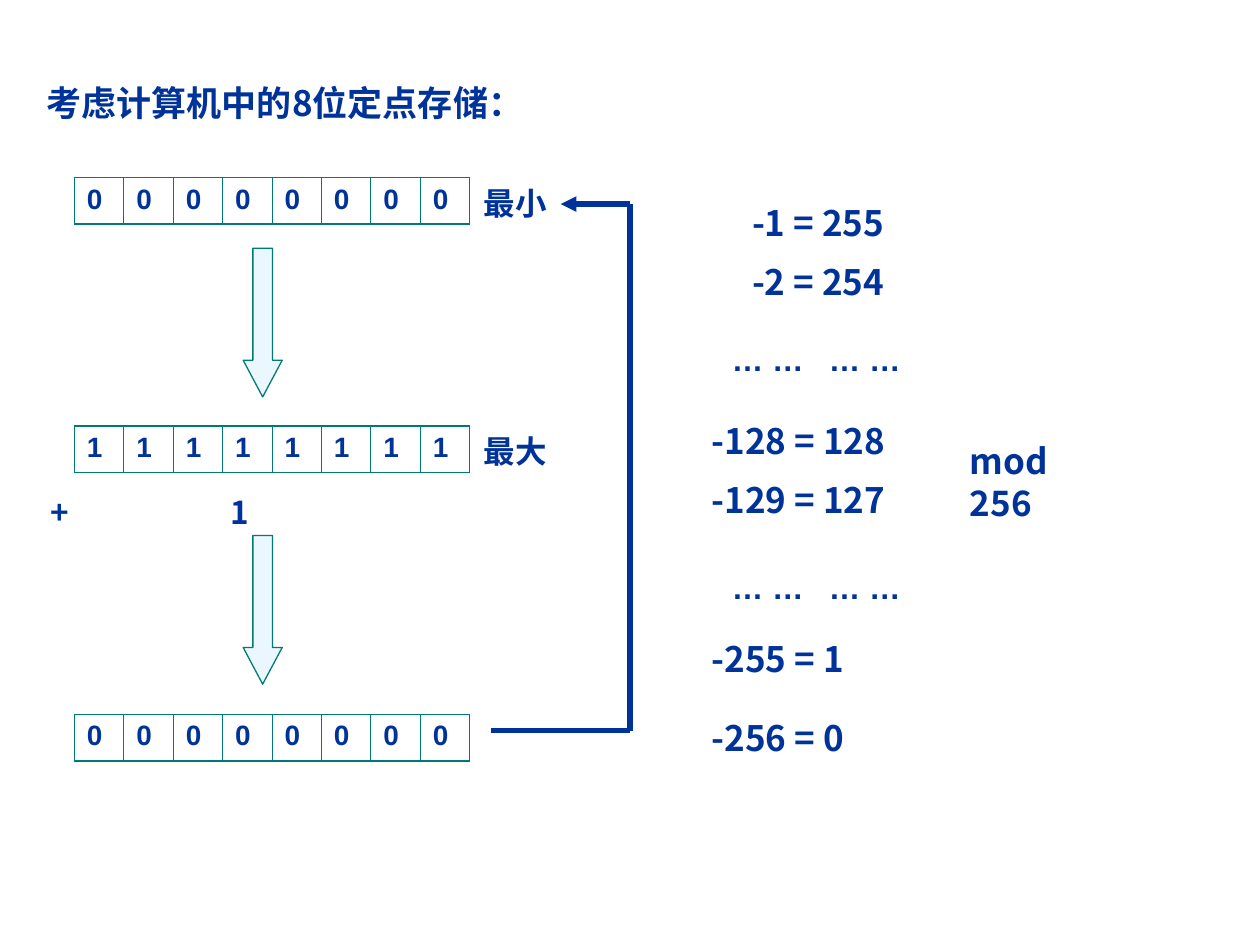
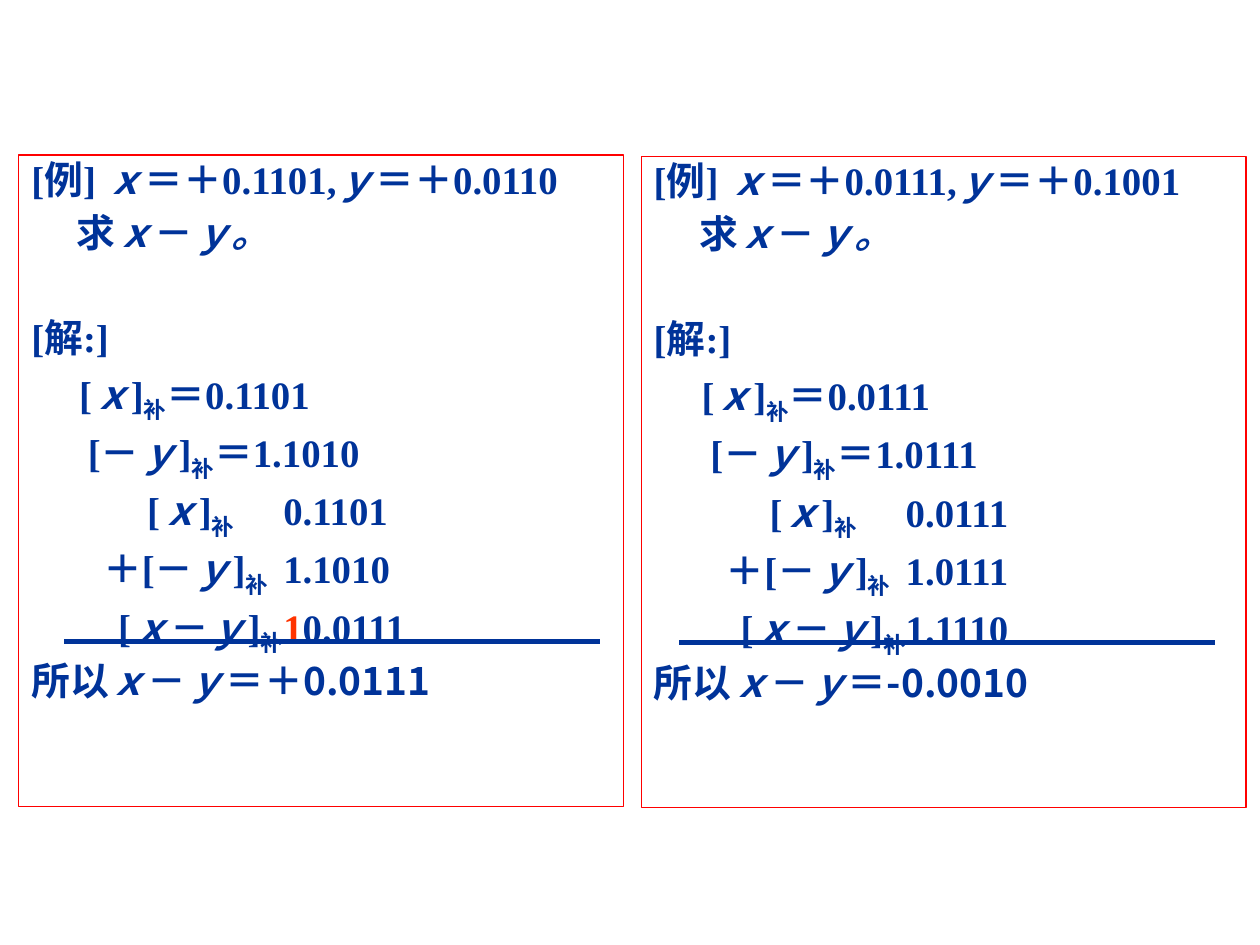
import itertools
from dataclasses import dataclass

import pptx
import pptx.dml.color
import pptx.enum.shapes
import pptx.enum.text
import pptx.oxml
import pptx.oxml.ns
import pptx.util
from lxml import etree

Inches, Pt = pptx.util.Inches, pptx.util.Pt
RGB = pptx.dml.color.RGBColor.from_string
qn = pptx.oxml.ns.qn
SHAPE = pptx.enum.shapes.MSO_SHAPE
ALIGN = pptx.enum.text.PP_ALIGN
TOP = pptx.enum.text.MSO_ANCHOR.TOP


@dataclass(frozen=True)
class Theme:
    ink: str = "003399"
    teal: str = "007A77"
    pale: str = "EBF7FF"
    frame: str = "FF0000"
    carry: str = "FF3300"
    sans: str = "Noto Sans CJK SC"
    arial: str = "Arial"
    serif: str = "Times New Roman"
    head: float = 20
    label: float = 18
    bit: float = 16
    body: float = 22.2


theme = Theme()
STYLES = {"ｘ": "italic", "ｙ": "italic", "。": "italic", "补": "sub", "#": "carry"}


def write(para, text, size, face, tab=None, side="l"):
    """Fill a paragraph; x and y turn italic, 补 drops, # is a red carry 1."""
    para.alignment = ALIGN.LEFT
    if tab:
        tabs = etree.SubElement(para._p.get_or_add_pPr(), qn("a:tabLst"))
        etree.SubElement(tabs, qn("a:tab"), pos=str(Inches(tab)), algn=side)
    font = para.font
    font.size, font.name, font.bold = Pt(size), face, True
    font.color.rgb = RGB(theme.ink)
    etree.SubElement(para._p.pPr.find(qn("a:defRPr")), qn("a:ea"), typeface=theme.sans)
    for style, chars in itertools.groupby(text, STYLES.get):
        run = para.add_run()
        run.text = "".join(chars).replace("#", "1")
        if style == "italic":
            run.font.italic = True
        elif style == "sub":
            run._r.get_or_add_rPr().set("baseline", "-25000")
        elif style == "carry":
            run.font.color.rgb = RGB(theme.carry)


def rule(slide, x1, y1, x2, y2, arrow=False):
    line = slide.shapes.add_connector(
        pptx.enum.shapes.MSO_CONNECTOR.STRAIGHT,
        Inches(x1), Inches(y1), Inches(x2), Inches(y2))
    line.line.color.rgb = RGB(theme.ink)
    line.line.width = Pt(3)
    if arrow:
        etree.SubElement(line.line._get_or_add_ln(), qn("a:tailEnd"), type="triangle")
    etree.SubElement(line._element.spPr, qn("a:effectLst"))


deck = pptx.Presentation()
deck.slide_width, deck.slide_height = Inches(10), Inches(7.5)

# Slide 1: eight-bit storage wraps round
slide = deck.slides.add_slide(deck.slide_layouts[5])
title = slide.shapes.title
title.left, title.top = Inches(0.27), Inches(0.6)
title.width, title.height = Inches(5.2), Inches(0.44)
frame = title.text_frame
frame.word_wrap = True
frame.auto_size = pptx.enum.text.MSO_AUTO_SIZE.NONE
frame.vertical_anchor = TOP
write(frame.paragraphs[0], "考虑计算机中的8位定点存储：", theme.head, theme.sans)

for top, bits in ((1.41, "00000000"), (3.38, "11111111"), (5.67, "00000000")):
    grid = slide.shapes.add_table(
        1, len(bits), Inches(0.59), Inches(top), Inches(3.14), Inches(0.37)).table
    grid.first_row = grid.horz_banding = False
    for col, bit in enumerate(bits):
        cell = grid.cell(0, col)
        write(cell.text_frame.paragraphs[0], bit, theme.bit, theme.arial)
        thick = {"lnL": col == 0, "lnR": col == len(bits) - 1, "lnT": True, "lnB": True}
        for edge, outer in thick.items():
            border = etree.SubElement(cell._tc.get_or_add_tcPr(), qn("a:" + edge),
                                      w=str(Pt(1.08 if outer else 0.45)))
            fill = etree.SubElement(border, qn("a:solidFill"))
            etree.SubElement(fill, qn("a:srgbClr"), val=theme.teal)
        cell.fill.background()

for top in (1.97, 4.25):
    arrow = slide.shapes.add_shape(
        SHAPE.DOWN_ARROW, Inches(1.93), Inches(top), Inches(0.31), Inches(1.18))
    arrow.adjustments[0], arrow.adjustments[1] = 0.5, 0.94
    arrow.shadow.inherit = False
    arrow.fill.solid()
    arrow.fill.fore_color.rgb = RGB(theme.pale)
    arrow.line.color.rgb = RGB(theme.teal)
    arrow.line.width = Pt(0.75)

rule(slide, 3.9, 5.8, 5, 5.8)
rule(slide, 5, 5.8, 5, 1.62)
rule(slide, 5, 1.62, 4.45, 1.62, arrow=True)

big = theme.head, theme.sans
small = theme.label, theme.arial
notes = [
    (3.74, 1.41, 0.71, "最小", small, None),
    (3.74, 3.38, 0.71, "最大", small, None),
    (0.3, 3.86, 3.47, "+\t1", (theme.label, theme.sans), 1.43),
    (7.6, 3.44, 1.34, "mod 256", big, None),
    (5.87, 1.55, 1.42, "-1 = 255", big, None),
    (5.87, 2.02, 1.42, "-2 = 254", big, None),
    (5.71, 2.65, 1.73, "… …\t… …", small, 0.77),
    (5.55, 3.28, 1.73, "-128 = 128", big, None),
    (5.55, 3.75, 1.73, "-129 = 127", big, None),
    (5.71, 4.46, 1.73, "… …\t… …", small, 0.77),
    (5.55, 5.01, 1.42, "-255 = 1", big, None),
    (5.55, 5.64, 1.42, "-256 = 0", big, None),
]
for left, top, width, text, (size, face), tab in notes:
    box = slide.shapes.add_textbox(Inches(left), Inches(top), Inches(width), Inches(0.42))
    box.text_frame.word_wrap = True
    write(box.text_frame.paragraphs[0], text, size, face, tab)

# Slide 2: two worked subtractions
slide = deck.slides.add_slide(deck.slide_layouts[6])
sums = [
    (0.15, 1.23, 0.51, 5.09, "0.1101", "0.0110", "1.1010", "#0.0111", "＋0.0111"),
    (5.09, 1.24, 5.39, 5.1, "0.0111", "0.1001", "1.0111", "1.1110", "-0.0010"),
]
for left, top, start, level, x, y, minus, total, answer in sums:
    panel = slide.shapes.add_shape(
        SHAPE.RECTANGLE, Inches(left), Inches(top), Inches(4.8), Inches(5.17))
    panel.shadow.inherit = False
    panel.fill.background()
    panel.line.color.rgb = RGB(theme.frame)
    panel.line.width = Pt(0.75)
    frame = panel.text_frame
    frame.word_wrap = True
    frame.vertical_anchor = TOP
    # first-line indent, space before, text
    steps = [
        (-0.38, 0, f"[例] ｘ＝＋{x},ｙ＝＋{y}"),
        (0.36, 6, "求ｘ－ｙ。"),
        (0, 36, "[解:]"),
        (0.38, 6, f"[ｘ]补＝{x}"),
        (0.45, 6, f"[－ｙ]补＝{minus}"),
        (0.92, 6, f"[ｘ]补\t{x}"),
        (0.57, 6, f"＋[－ｙ]补\t{minus}"),
        (0.69, 6, f"[ｘ－ｙ]补\t{total}"),
        (0, 6, f"所以ｘ－ｙ＝{answer}"),
    ]
    for row, (indent, gap, text) in enumerate(steps):
        para = frame.paragraphs[0] if row == 0 else frame.add_paragraph()
        para.line_spacing = 0.9
        para.space_before = Pt(gap)
        props = para._p.get_or_add_pPr()
        props.set("marL", str(Inches(max(-indent, 0))))
        props.set("indent", str(Inches(indent)))
        face = theme.sans if text.startswith("所以") else theme.serif
        write(para, text, theme.body, face, 3.96 if "\t" in text else None, "r")
    rule(slide, start, level, start + 4.25, level)

deck.save("out.pptx")
